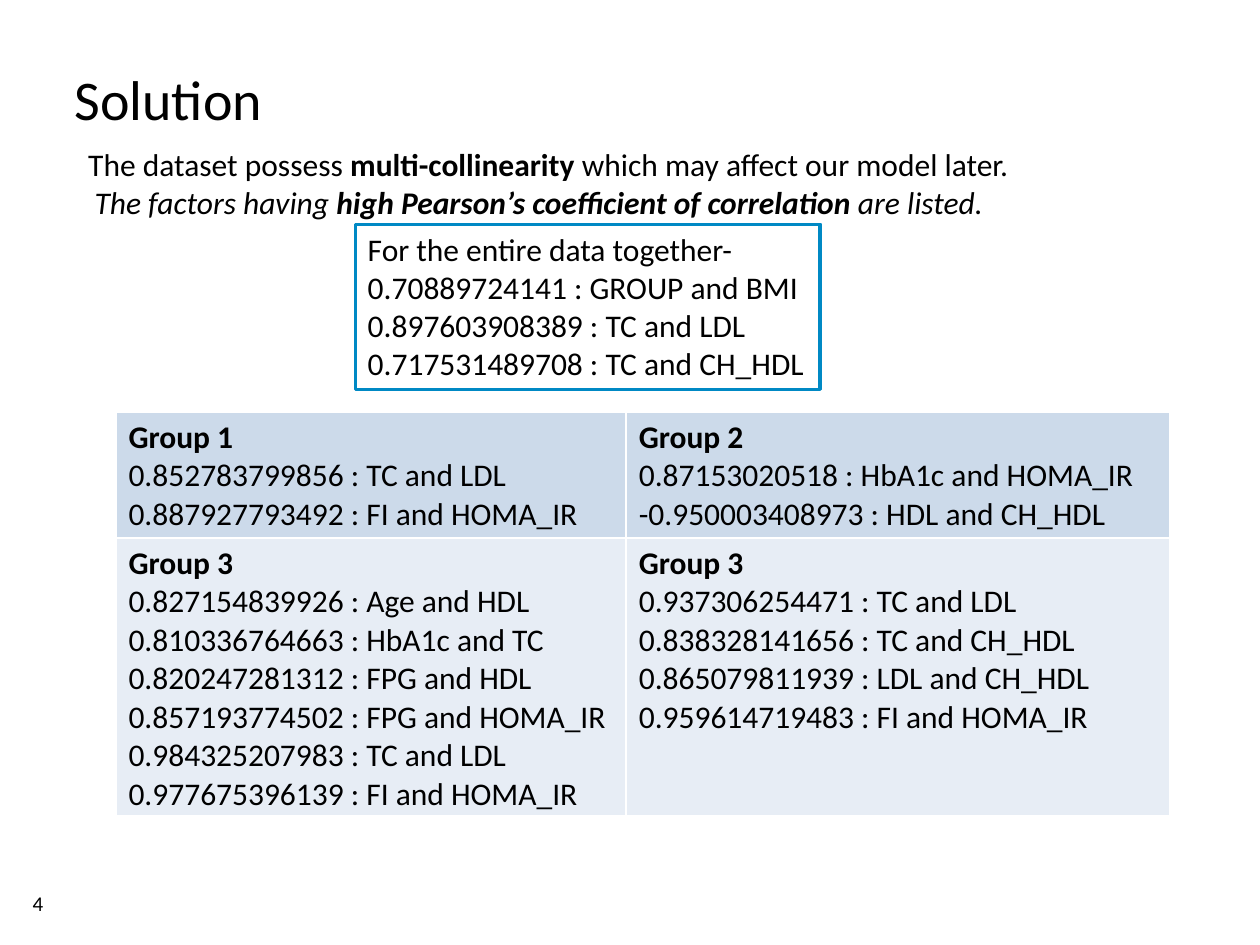
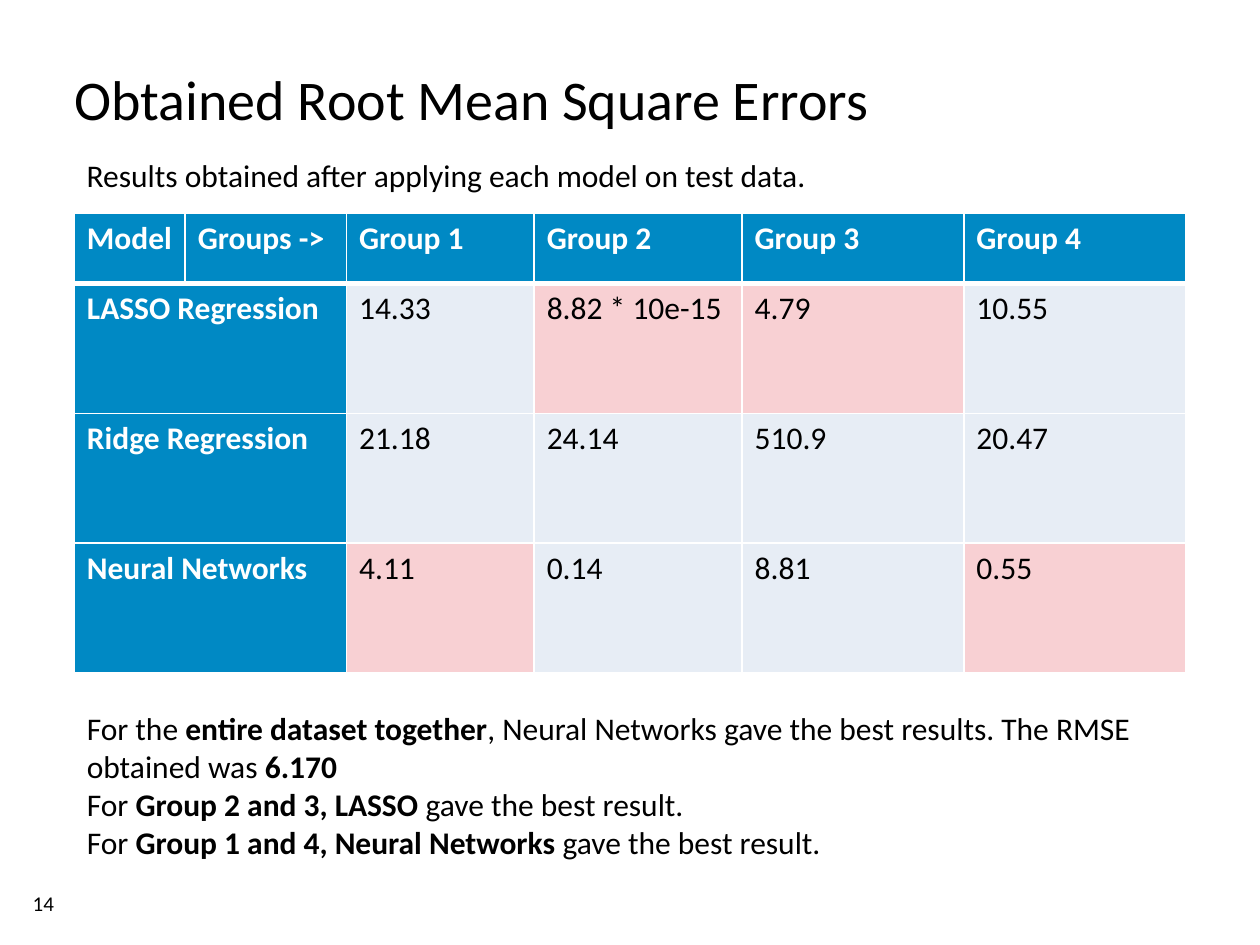
"""Build two slides on correlated factors and model errors."""
from dataclasses import dataclass

from lxml import etree
from pptx import Presentation
from pptx.dml.color import RGBColor
from pptx.enum.shapes import MSO_SHAPE
from pptx.enum.text import MSO_ANCHOR, PP_ALIGN
from pptx.oxml.ns import qn
from pptx.slide import Slide
from pptx.table import Table, _Cell
from pptx.text.text import TextFrame
from pptx.util import Inches, Pt

RECT = MSO_SHAPE.RECTANGLE
TOP = MSO_ANCHOR.TOP
LEFT = PP_ALIGN.LEFT
FONT = "Calibri"
COLORS = {
    "text": "000000",
    "white": "FFFFFF",
    "accent": "0089C4",
    "band": "CCDAEA",
    "pale": "E7EDF5",
    "best": "F8D0D3",
}


@dataclass
class Box:
    left: float
    top: float
    width: float
    height: float


@dataclass
class TextBlock:
    box: Box
    lines: list[str]
    size: int = 18
    padded: bool = True
    framed: bool = False


@dataclass
class Grid:
    box: Box
    widths: list[float]
    heights: list[float]


PAGE_BOX = Box(0.26, 7.07, 0.56, 0.2)
TITLE_BOX = Box(0.59, 0.51, 8.82, 1.1)

INTRO = TextBlock(
    Box(0.46, 1.15, 8.82, 0.7),
    ["The dataset possess **multi-collinearity** which may affect our model later.",
     "The factors having **high Pearson’s coefficient of correlation** are listed."],
    padded=False,
)
OVERALL = TextBlock(
    Box(2.82, 1.78, 3.69, 1.31),
    ["For the entire data together-",
     "0.70889724141 : GROUP and BMI",
     "0.897603908389 : TC and LDL",
     "0.717531489708 : TC and CH_HDL"],
    framed=True,
)
GROUP_GRID = Grid(Box(0.92, 3.27, 8.36, 3.2), [4.05, 4.31], [1.0, 2.2])
GROUP_ROWS = [
    [["**Group 1**", "0.852783799856 : TC and LDL", "0.887927793492 : FI and HOMA_IR"],
     ["**Group 2**", "0.87153020518 : HbA1c and HOMA_IR",
      "-0.950003408973 : HDL and CH_HDL"]],
    [["**Group 3**", "0.827154839926 : Age and HDL", "0.810336764663 : HbA1c and TC",
      "0.820247281312 : FPG and HDL", "0.857193774502 : FPG and HOMA_IR",
      "0.984325207983 : TC and LDL", "0.977675396139 : FI and HOMA_IR"],
     ["**Group 3**", "0.937306254471 : TC and LDL", "0.838328141656 : TC and CH_HDL",
      "0.865079811939 : LDL and CH_HDL", "0.959614719483 : FI and HOMA_IR"]],
]

RESULTS_NOTE = TextBlock(
    Box(0.59, 1.19, 6.27, 0.4),
    ["Results obtained after applying each model on test data."],
)
ERROR_GRID = Grid(Box(0.59, 1.69, 8.82, 3.65),
                  [0.88, 1.28, 1.49, 1.65, 1.76, 1.76], [0.56] + [1.03] * 3)
ERROR_HEADER = ["Model", "Groups ->"] + [f"Group {n}" for n in range(1, 5)]
ERRORS = {
    "LASSO Regression": ["14.33", "8.82 * 10e-15", "4.79", "10.55"],
    "Ridge Regression": ["21.18", "24.14", "510.9", "20.47"],
    "Neural Networks": ["4.11", "0.14", "8.81", "0.55"],
}
BEST_MODELS = ["Neural Networks", "LASSO Regression", "LASSO Regression", "Neural Networks"]
CONCLUSION = TextBlock(
    Box(0.59, 5.58, 8.82, 1.31),
    ["For the **entire dataset together**, Neural Networks gave the best results. "
     "The RMSE obtained was **6.170**",
     "For **Group 2 and 3, LASSO** gave the best result.",
     "For **Group 1 and 4, Neural Networks** gave the best result."],
)


def rgb(name: str) -> RGBColor:
    return RGBColor.from_string(COLORS[name])


def place(box: Box) -> tuple:
    return Inches(box.left), Inches(box.top), Inches(box.width), Inches(box.height)


def write(tf: TextFrame, lines: list[str], size: int = 18, color: str = "text") -> None:
    for i, line in enumerate(lines):
        p = tf.paragraphs[0] if i == 0 else tf.add_paragraph()
        p.alignment = LEFT
        for j, part in enumerate(line.split("**")):
            if not part:
                continue
            r = p.add_run()
            r.text = part
            r.font.name = FONT
            r.font.size = Pt(size)
            r.font.bold = j % 2 == 1
            r.font.color.rgb = rgb(color)


def add_text(slide: Slide, block: TextBlock) -> TextFrame:
    if block.framed:
        sp = slide.shapes.add_shape(RECT, *place(block.box))
        sp.shadow.inherit = False
        sp.fill.solid()
        sp.fill.fore_color.rgb = rgb("white")
        sp.line.color.rgb = rgb("accent")
        sp.line.width = Pt(2)
    else:
        sp = slide.shapes.add_textbox(*place(block.box))
    tf = sp.text_frame
    tf.word_wrap = True
    tf.vertical_anchor = TOP
    if not block.padded:
        tf.margin_left = tf.margin_right = tf.margin_top = tf.margin_bottom = 0
    write(tf, block.lines, block.size)
    return tf


def add_slide(prs: Presentation, title: str, page: int) -> Slide:
    slide = prs.slides.add_slide(prs.slide_layouts[6])
    add_text(slide, TextBlock(PAGE_BOX, [str(page)], 12, padded=False))
    add_text(slide, TextBlock(TITLE_BOX, [title], 32, padded=False))
    return slide


def add_grid(slide: Slide, grid: Grid, has_header: bool) -> Table:
    shape = slide.shapes.add_table(len(grid.heights), len(grid.widths), *place(grid.box))
    table = shape.table
    table.first_row = has_header
    table.horz_banding = False
    for column, width in zip(table.columns, grid.widths):
        column.width = Inches(width)
    for row, height in zip(table.rows, grid.heights):
        row.height = Inches(height)
    return table


def set_borders(cell: _Cell, **points: int) -> None:
    tc_pr = cell._tc.get_or_add_tcPr()
    for side in "LRTB":
        ln = etree.SubElement(tc_pr, qn(f"a:ln{side}"), w=str(Pt(points.get(side, 1))))
        fill = etree.SubElement(ln, qn("a:solidFill"))
        etree.SubElement(fill, qn("a:srgbClr"), val=COLORS["white"])


def fill_cell(cell: _Cell, lines: list[str], fill: str, color: str = "text",
              **borders: int) -> None:
    set_borders(cell, **borders)
    cell.fill.solid()
    cell.fill.fore_color.rgb = rgb(fill)
    write(cell.text_frame, lines, color=color)


def build_solution(prs: Presentation) -> None:
    slide = add_slide(prs, "Solution", 4)
    tf = add_text(slide, INTRO)
    for p, indent in zip(tf.paragraphs, (0.24, 0.29)):
        p._p.get_or_add_pPr().set("marL", str(Inches(indent)))
    for r in tf.paragraphs[1].runs:
        r.font.italic = True
    add_text(slide, OVERALL)
    table = add_grid(slide, GROUP_GRID, has_header=False)
    for i, (row, fill) in enumerate(zip(GROUP_ROWS, ("band", "pale"))):
        for j, lines in enumerate(row):
            fill_cell(table.cell(i, j), lines, fill)


def build_errors(prs: Presentation) -> None:
    slide = add_slide(prs, "Obtained Root Mean Square Errors", 14)
    table = add_grid(slide, ERROR_GRID, has_header=True)
    for j, heading in enumerate(ERROR_HEADER):
        fill_cell(table.cell(0, j), [f"**{heading}**"], "accent", "white", B=3)
    for i, (model, values) in enumerate(ERRORS.items(), start=1):
        table.cell(i, 0).merge(table.cell(i, 1))
        fill_cell(table.cell(i, 0), [f"**{model}**"], "accent", "white", T=3 if i == 1 else 1)
        fill_cell(table.cell(i, 1), [], "accent", T=3 if i == 1 else 1)
        for j, (value, best) in enumerate(zip(values, BEST_MODELS), start=2):
            fill = "best" if model == best else "pale"
            fill_cell(table.cell(i, j), [value], fill, T=3 if i == 1 else 1)
    add_text(slide, RESULTS_NOTE)
    add_text(slide, CONCLUSION)


def main() -> None:
    prs = Presentation()
    prs.slide_width = Inches(10)
    prs.slide_height = Inches(7.5)
    build_solution(prs)
    build_errors(prs)
    prs.save("out.pptx")


if __name__ == "__main__":
    main()
